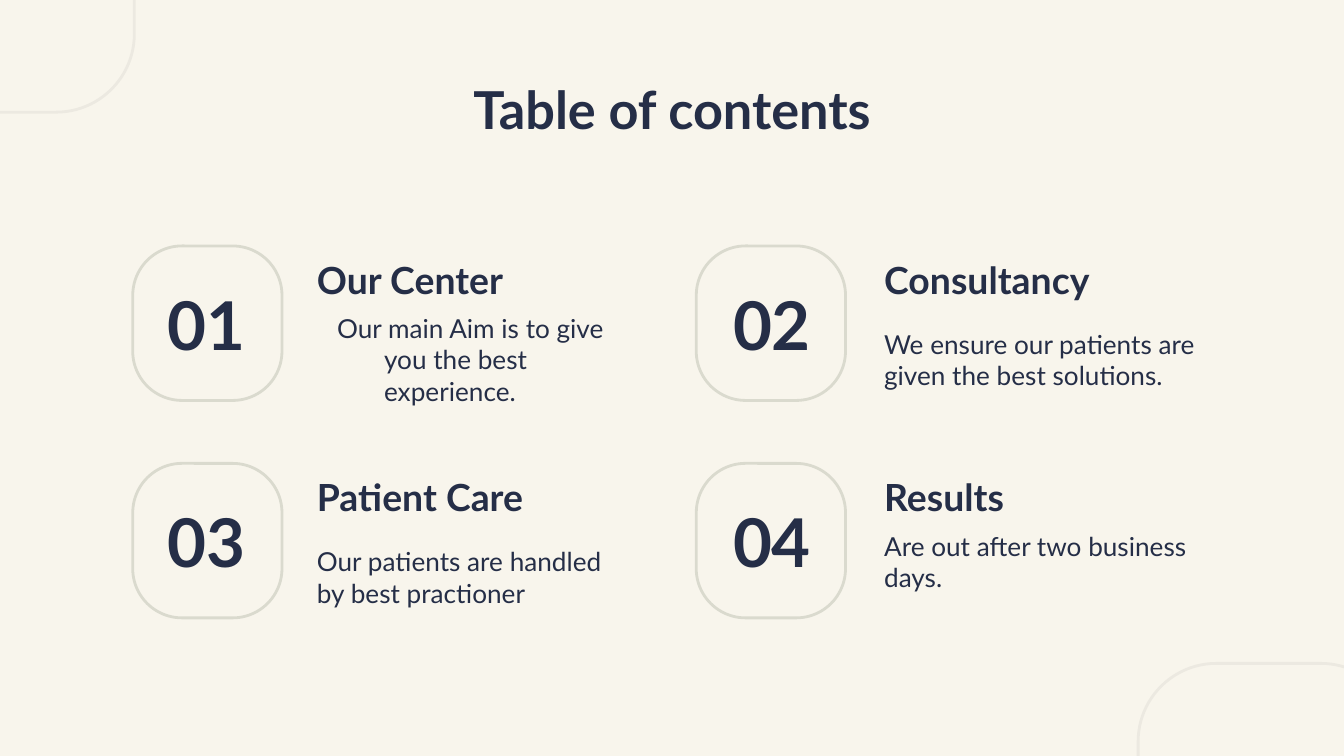
from dataclasses import dataclass
from typing import Any

from pptx import Presentation
from pptx.dml.color import RGBColor
from pptx.enum.shapes import MSO_SHAPE
from pptx.enum.text import MSO_ANCHOR, PP_ALIGN
from pptx.slide import Slide
from pptx.util import Cm, Pt

CREAM = RGBColor(0xF8, 0xF5, 0xEC)
NAVY = RGBColor(0x25, 0x2E, 0x47)
SAND = RGBColor(0xDA, 0xDA, 0xCE)
PALE = RGBColor(0xEC, 0xE9, 0xE1)

PADDING = 0.25
ROW_TOPS = (4.65, 8.76)
BADGE_LEFTS = (2.51, 13.16)
NUMBER_LEFTS = (2.44, 13.13)
TEXT_LEFTS = (5.74, 16.46)
TEXT_WIDTH, TEXT_HEIGHT = 6.4, 1.47

TITLE_FONT = {"size": Pt(28), "bold": True}
NUMBER_FONT = {"size": Pt(36), "bold": True}
HEADING_FONT = {"size": Pt(20), "bold": True}
BODY_FONT = {"size": Pt(14), "bold": False}


@dataclass(frozen=True)
class Area:
    left: float
    top: float
    width: float
    height: float

    def lengths(self) -> tuple[Cm, Cm, Cm, Cm]:
        return Cm(self.left), Cm(self.top), Cm(self.width), Cm(self.height)


@dataclass(frozen=True)
class Topic:
    heading: str
    body: str
    hanging: bool = False
    raised: float = 0


TOPICS = (
    Topic("Our Center", "Our main Aim is to give you the best experience.", hanging=True),
    Topic("Consultancy", "We ensure our patients are given the best solutions."),
    Topic("Patient Care", "Our patients are handled by best practioner"),
    Topic("Results", "Are out after two business days.", raised=0.59),
)


def apply_format(target: Any, values: dict[str, Any]) -> None:
    for name, value in values.items():
        setattr(target, name, value)


def draw_outline(page: Slide, area: Area, color: RGBColor, rounding: float) -> None:
    outline = page.shapes.add_shape(MSO_SHAPE.ROUNDED_RECTANGLE, *area.lengths())
    outline.adjustments[0] = rounding
    outline.shadow.inherit = False
    outline.fill.background()
    outline.line.color.rgb = color
    outline.line.width = Pt(1.5)


def draw_text(
    page: Slide,
    area: Area,
    text: str,
    font: dict[str, Any],
    align: PP_ALIGN = PP_ALIGN.LEFT,
    hanging: bool = False,
    raised: float = 0,
) -> None:
    frame = page.shapes.add_textbox(*area.lengths()).text_frame
    apply_format(frame, {
        "word_wrap": True,
        "vertical_anchor": MSO_ANCHOR.MIDDLE,
        "margin_left": Cm(PADDING),
        "margin_right": Cm(PADDING),
        "margin_top": Cm(PADDING),
        "margin_bottom": Cm(PADDING + raised),
    })
    para = frame.paragraphs[0]
    para.alignment = align
    if hanging:
        properties = para._p.get_or_add_pPr()
        properties.set("marL", str(Cm(1.27)))
        properties.set("indent", str(Cm(-0.89)))
    span = para.add_run()
    span.text = text
    apply_format(span.font, {"name": "Lato", **font})
    span.font.color.rgb = NAVY


def draw_topic(page: Slide, index: int, topic: Topic) -> None:
    row, column = divmod(index, 2)
    top = ROW_TOPS[row]
    left = TEXT_LEFTS[column]
    draw_outline(page, Area(BADGE_LEFTS[column], top, 2.82, 2.92), SAND, 0.33)
    draw_text(page, Area(NUMBER_LEFTS[column], top, 2.92, 2.92),
              f"{index + 1:02}", NUMBER_FONT, PP_ALIGN.CENTER)
    draw_text(page, Area(left, top - 0.1, TEXT_WIDTH, TEXT_HEIGHT),
              topic.heading, HEADING_FONT)
    draw_text(page, Area(left, top + 1.41, TEXT_WIDTH, TEXT_HEIGHT),
              topic.body, BODY_FONT, hanging=topic.hanging, raised=topic.raised)


def main() -> None:
    deck = Presentation()
    deck.slide_width, deck.slide_height = Cm(25.4), Cm(14.29)
    page = deck.slides.add_slide(deck.slide_layouts[6])
    page.background.fill.solid()
    page.background.fill.fore_color.rgb = CREAM
    for left, top in ((-2.39, -3.76), (21.51, 12.54)):
        draw_outline(page, Area(left, top, 4.93, 5.88), PALE, 0.3)
    draw_text(page, Area(2, 1.25, 21.4, 1.6), "Table of contents",
              TITLE_FONT, PP_ALIGN.CENTER)
    for index, topic in enumerate(TOPICS):
        draw_topic(page, index, topic)
    deck.save("out.pptx")


if __name__ == "__main__":
    main()
